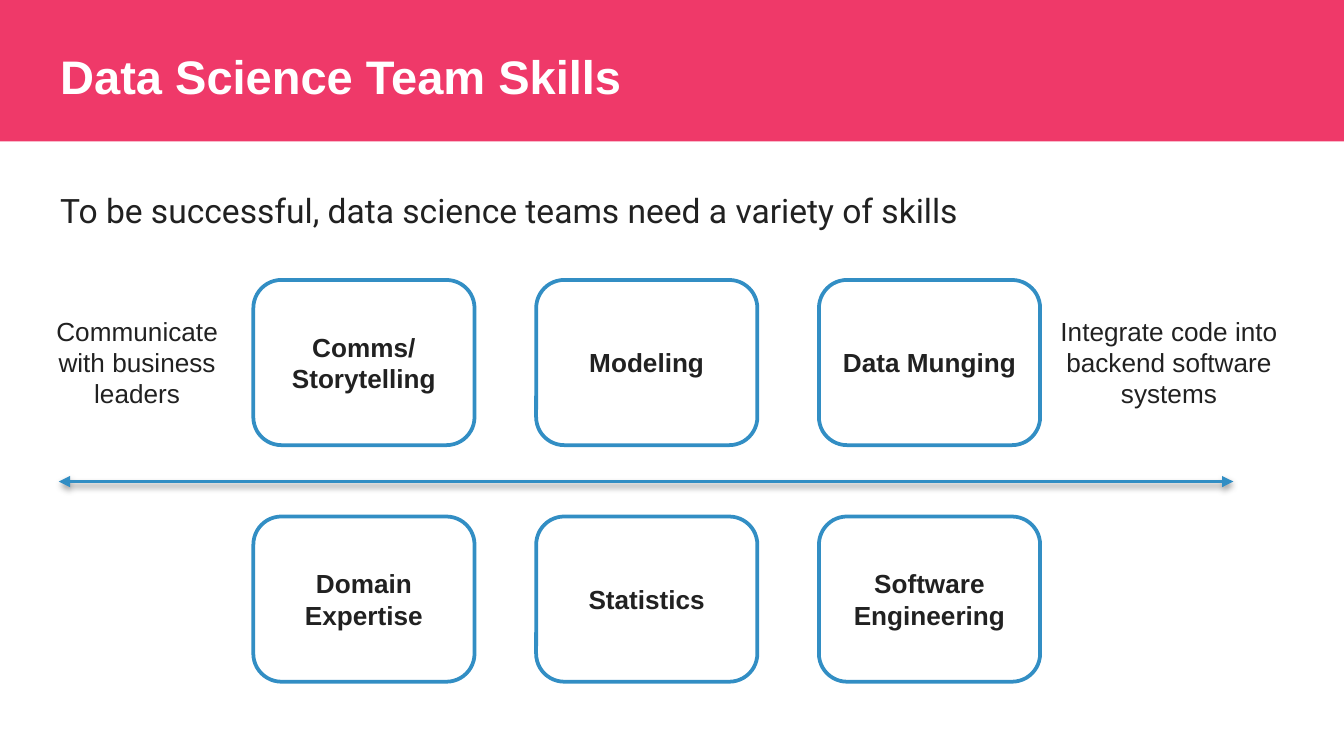
from lxml import etree
from pptx import Presentation
from pptx import util as u
from pptx.dml.color import RGBColor
from pptx.enum import shapes, text
from pptx.oxml import ns

PX = 9525
INK, BLUE, PINK, WHITE = "212121", "328EC4", "EF3969", "FFFFFF"


def tint(hue):
    return RGBColor.from_string(hue)


def write(shape, words, size, inset, hue=INK, bold=False, font="Arial",
          align=text.PP_ALIGN.CENTER, anchor=text.MSO_ANCHOR.TOP):
    frame = shape.text_frame
    frame.text = words
    frame.word_wrap = True
    frame.auto_size = text.MSO_AUTO_SIZE.NONE
    frame.vertical_anchor = anchor
    frame.margin_left = frame.margin_right = inset * PX
    frame.margin_top = frame.margin_bottom = inset * PX
    for para in frame.paragraphs:
        para.alignment = align
        for run in para.runs:
            run.font.name = font
            run.font.size = u.Pt(size)
            run.font.bold = bold
            run.font.color.rgb = tint(hue)


deck = Presentation()
deck.slide_width, deck.slide_height = 960 * PX, 540 * PX
slide = deck.slides.add_slide(deck.slide_layouts[5])
items = slide.shapes

band = items.add_shape(shapes.MSO_SHAPE.RECTANGLE, 0, 0, 960 * PX, 101 * PX)
band.shadow.inherit = False
band.fill.solid()
band.fill.fore_color.rgb = tint(PINK)
band.line.fill.background()
items._spTree.insert(2, band._element)

title = items.title
title.left, title.top = 33 * PX, 24 * PX
title.width, title.height = 895 * PX, 60 * PX
write(title, "Data Science Team Skills", 25.2, 10, WHITE, True,
      align=text.PP_ALIGN.LEFT, anchor=text.MSO_ANCHOR.BOTTOM)

lead = items.add_textbox(33 * PX, 121 * PX, 895 * PX, 359 * PX)
write(lead, "To be successful, data science teams need a variety of skills",
      18, 10, font="Roboto", align=text.PP_ALIGN.LEFT)
lead.text_frame.paragraphs[0].line_spacing = 1.15

ends = [(24, 148, "Communicate with business leaders"),
        (755, 160, "Integrate code into backend software systems")]
for left, width, words in ends:
    note = items.add_textbox(left * PX, 225 * PX, width * PX, 68 * PX)
    write(note, words, 14, 0)

axis = items.add_connector(shapes.MSO_CONNECTOR.STRAIGHT,
                           42 * PX, 344 * PX, 881 * PX, 344 * PX)
axis.line.color.rgb = tint(BLUE)
axis.line.width = u.Pt(2)
stroke = axis.line._get_or_add_ln()
for tip in ("a:headEnd", "a:tailEnd"):
    etree.SubElement(stroke, ns.qn(tip), type="triangle")
glow = etree.SubElement(axis._element.spPr, ns.qn("a:effectLst"))
shade = etree.SubElement(glow, ns.qn("a:outerShdw"), blurRad="38100",
                         dist="20000", dir="5400000", rotWithShape="0")
black = etree.SubElement(shade, ns.qn("a:srgbClr"), val="000000")
etree.SubElement(black, ns.qn("a:alpha"), val="38000")

skills = [["Comms/\nStorytelling", "Modeling", "Data Munging"],
          ["Domain Expertise", "Statistics", "Software Engineering"]]
for top, row in zip((200, 369), skills):
    for col, skill in enumerate(row):
        card = items.add_shape(shapes.MSO_SHAPE.ROUNDED_RECTANGLE,
                               (181 + 202 * col) * PX, top * PX,
                               158 * PX, 118 * PX)
        card.shadow.inherit = False
        card.adjustments[0] = 0.17
        card.fill.solid()
        card.fill.fore_color.rgb = tint(WHITE)
        card.line.color.rgb = tint(BLUE)
        card.line.width = u.Pt(2)
        write(card, skill, 14, 5, bold=True, anchor=text.MSO_ANCHOR.MIDDLE)

deck.save("out.pptx")
